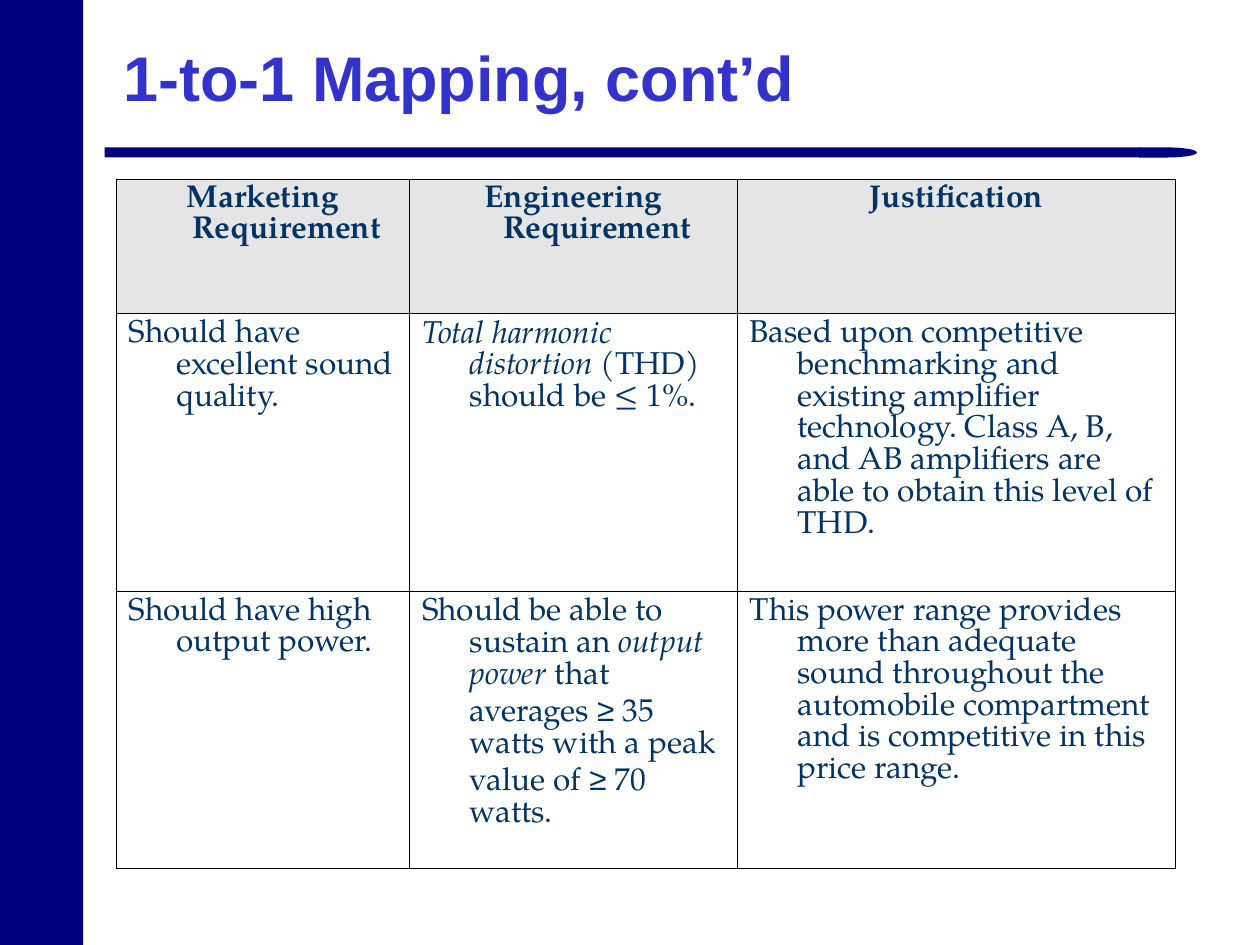
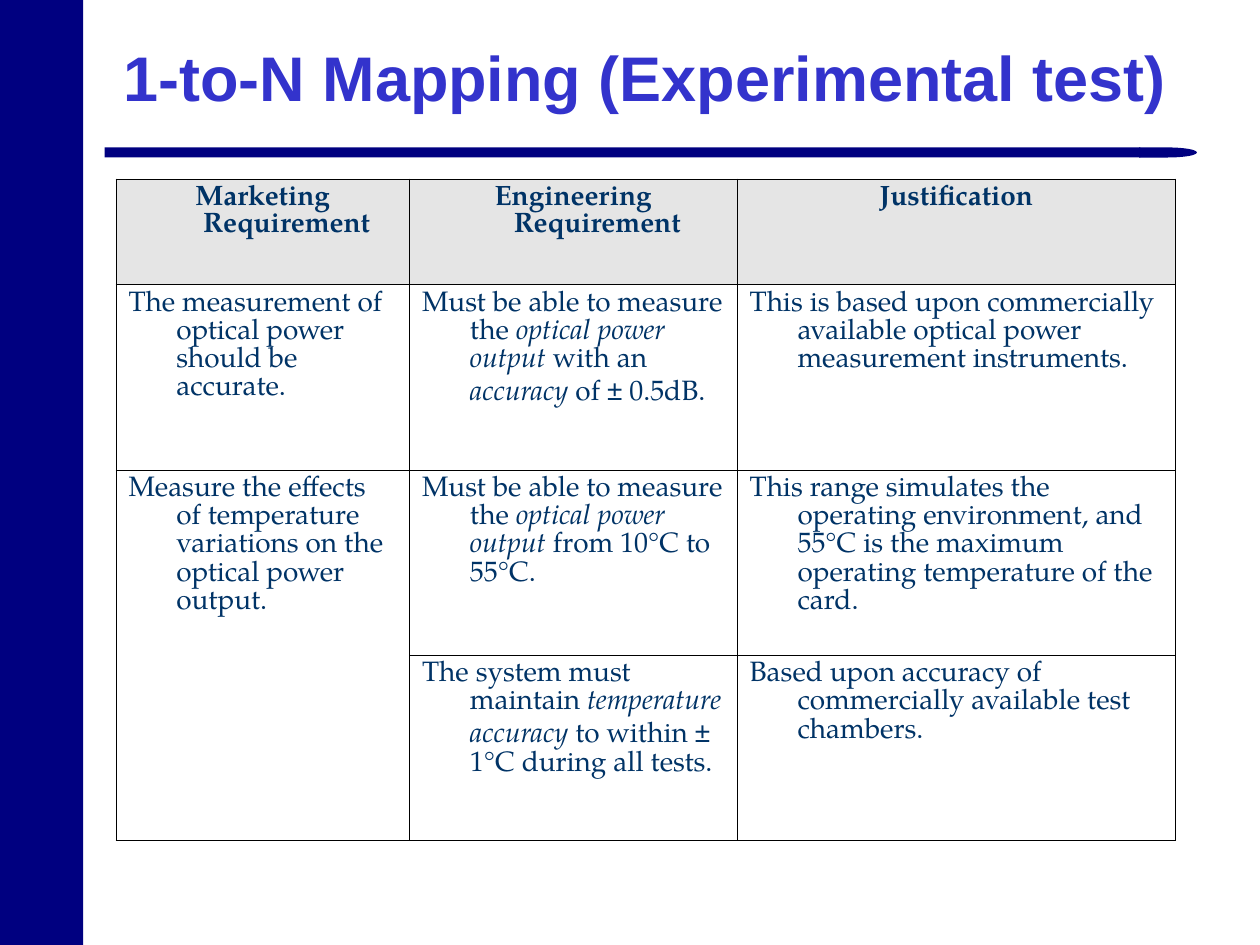
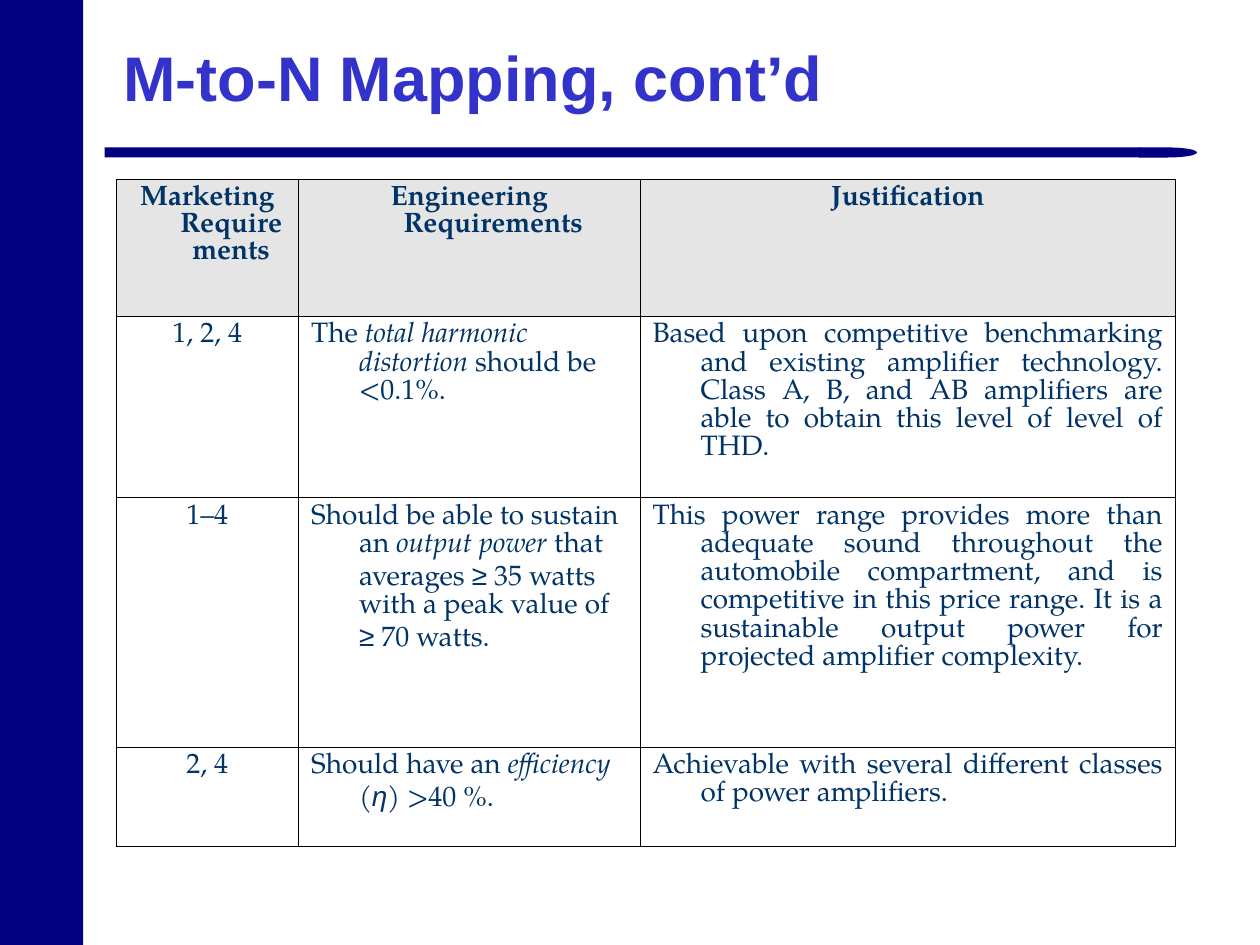
"""Build three slides of requirement mapping tables."""
from dataclasses import dataclass
from itertools import groupby

from lxml.etree import SubElement
from pptx import Presentation
from pptx.dml.color import RGBColor
from pptx.enum.shapes import MSO_SHAPE
from pptx.enum.text import MSO_ANCHOR, PP_ALIGN
from pptx.oxml.ns import qn
from pptx.util import Inches, Pt


@dataclass(frozen=True)
class Theme:
    """Colours, fonts and sizes shared by all slides."""
    navy: RGBColor = RGBColor(0x00, 0x00, 0x80)
    title: RGBColor = RGBColor(0x33, 0x33, 0xCC)
    text: RGBColor = RGBColor(0x00, 0x33, 0x66)
    header: RGBColor = RGBColor(0xE5, 0xE5, 0xE5)
    border: str = "000000"
    border_width: float = 0.45
    title_font: str = "Arial"
    body_font: str = "TeX Gyre Pagella"
    symbol_font: str = "Arial"
    title_size: int = 36
    hanging: float = 0.38


THEME = Theme()
SYMBOLS = "≥±η"
LEFT, CENTER, JUSTIFY = PP_ALIGN.LEFT, PP_ALIGN.CENTER, PP_ALIGN.JUSTIFY
HEADINGS = ["Marketing Requirement", "Engineering Requirement", "Justification"]
OUTPUT_POWER = ("Should be able to sustain an *output power* that averages ≥ 35 watts "
                "with a peak value of ≥ 70 watts.")

SLIDES = [
    {
        "title": "1-to-1 Mapping, cont’d",
        "size": 18,
        "columns": [2.33, 2.6, 3.48],
        "heights": [1.07, 2.2, 2.2],
        "aligns": [LEFT, LEFT, LEFT],
        "rows": [
            HEADINGS,
            ["Should have excellent sound quality.",
             "*Total harmonic distortion* (THD) should be ≤ 1%.",
             "Based upon competitive benchmarking and existing amplifier technology. "
             "Class A, B, and AB amplifiers are able to obtain this level of THD."],
            ["Should have high output power.",
             OUTPUT_POWER,
             "This power range provides more than adequate sound throughout the "
             "automobile compartment and is competitive in this price range."],
        ],
    },
    {
        "title": "1-to-N Mapping (Experimental test)",
        "size": 16,
        "columns": [2.33, 2.6, 3.48],
        "heights": [0.84, 1.47, 1.47, 1.47],
        "aligns": [LEFT, LEFT, LEFT],
        "rows": [
            HEADINGS,
            ["The measurement of optical power should be accurate.",
             "Must be able to measure the *optical power output* with an *accuracy* of ± 0.5dB.",
             "This is based upon commercially available optical power measurement instruments."],
            ["Measure the effects of temperature variations on the optical power output.",
             "Must be able to measure the *optical power output* from 10°C to 55°C.",
             "This range simulates the operating environment, and 55°C is the maximum "
             "operating temperature of the card."],
            [None,
             "The system must maintain *temperature accuracy* to within ± 1°C during all tests.",
             "Based upon accuracy of commercially available test chambers."],
        ],
    },
    {
        "title": "M-to-N Mapping, cont’d",
        "size": 16,
        "columns": [1.45, 2.71, 4.25],
        "heights": [1.09, 1.44, 1.98, 0.79],
        "aligns": [CENTER, LEFT, JUSTIFY],
        "rows": [
            ["Marketing Requirements", "Engineering Requirements", "Justification"],
            ["1, 2, 4",
             "The *total harmonic distortion* should be <0.1%.",
             "Based upon competitive benchmarking and existing amplifier technology. "
             "Class A, B, and AB amplifiers are able to obtain this level of level of THD."],
            ["1–4",
             OUTPUT_POWER,
             "This power range provides more than adequate sound throughout the automobile "
             "compartment, and is competitive in this price range. It is a sustainable "
             "output power for projected amplifier complexity."],
            ["2, 4",
             "Should have an *efficiency (η)* >40 %.",
             "Achievable with several different classes of power amplifiers."],
        ],
    },
]


def style_font(font, name, size, color, bold):
    """Set the face, size, colour and weight of a font."""
    font.name = name
    font.size = Pt(size)
    font.color.rgb = color
    font.bold = bold


def add_band(page, kind, left, top, width, height):
    """Draw a plain navy shape."""
    band = page.shapes.add_shape(
        kind, Inches(left), Inches(top), Inches(width), Inches(height))
    band.shadow.inherit = False
    band.fill.solid()
    band.fill.fore_color.rgb = THEME.navy
    band.line.fill.background()


def add_frame(page):
    """Draw the side band and the rule with its rounded end."""
    add_band(page, MSO_SHAPE.RECTANGLE, 0, 0, 0.66, 7.5)
    add_band(page, MSO_SHAPE.RECTANGLE, 0.83, 1.17, 8.22, 0.08)
    add_band(page, MSO_SHAPE.FLOWCHART_DELAY, 9.04, 1.17, 0.46, 0.08)


def add_title(page, text):
    """Write the slide title above the rule."""
    box = page.shapes.add_textbox(Inches(0.88), Inches(0.3), Inches(8.57), Inches(0.66))
    frame = box.text_frame
    frame.word_wrap = True
    frame.vertical_anchor = MSO_ANCHOR.BOTTOM
    para = frame.paragraphs[0]
    para.line_spacing = 0.9
    para.text = text
    style_font(para.font, THEME.title_font, THEME.title_size, THEME.title, True)


def add_borders(cell):
    """Give a cell a thin line on all four sides."""
    properties = cell._tc.get_or_add_tcPr()
    for side in ("lnL", "lnR", "lnT", "lnB"):
        line = SubElement(properties, qn(f"a:{side}"), w=str(Pt(THEME.border_width)))
        fill = SubElement(line, qn("a:solidFill"))
        SubElement(fill, qn("a:srgbClr"), val=THEME.border)


def write_cell(cell, text, size, align, bold):
    """Write hanging text, with italics between asterisks and symbols in their own font."""
    para = cell.text_frame.paragraphs[0]
    para.alignment = align
    properties = para._p.get_or_add_pPr()
    properties.set("marL", str(Inches(THEME.hanging)))
    properties.set("indent", str(-Inches(THEME.hanging)))
    style_font(para.font, THEME.body_font, size, THEME.text, bold)
    for index, part in enumerate(text.split("*")):
        for is_symbol, letters in groupby(part, lambda letter: letter in SYMBOLS):
            span = para.add_run()
            span.text = "".join(letters)
            if index % 2:
                span.font.italic = True
            if is_symbol:
                span.font.name = THEME.symbol_font


def add_mapping_table(page, columns, heights, rows, aligns, size):
    """Build the table; an empty entry joins the cell above it."""
    table = page.shapes.add_table(
        len(rows), len(columns), Inches(0.92), Inches(1.42),
        Inches(sum(columns)), Inches(sum(heights))).table
    table.first_row = False
    table.horz_banding = False
    for column, width in zip(table.columns, columns):
        column.width = Inches(width)
    for row_index, (height, texts) in enumerate(zip(heights, rows)):
        table.rows[row_index].height = Inches(height)
        is_header = row_index == 0
        for column_index, (text, align) in enumerate(zip(texts, aligns)):
            cell = table.cell(row_index, column_index)
            add_borders(cell)
            if is_header:
                cell.fill.solid()
                cell.fill.fore_color.rgb = THEME.header
            else:
                cell.fill.background()
            if text is None:
                table.cell(row_index - 1, column_index).merge(cell)
            else:
                write_cell(cell, text, size, CENTER if is_header else align, is_header)


def main():
    """Build and save the deck."""
    deck = Presentation()
    deck.slide_width, deck.slide_height = Inches(10), Inches(7.5)
    for content in SLIDES:
        page = deck.slides.add_slide(deck.slide_layouts[6])
        add_frame(page)
        add_title(page, content["title"])
        add_mapping_table(page, content["columns"], content["heights"],
                          content["rows"], content["aligns"], content["size"])
    deck.save("out.pptx")


if __name__ == "__main__":
    main()
